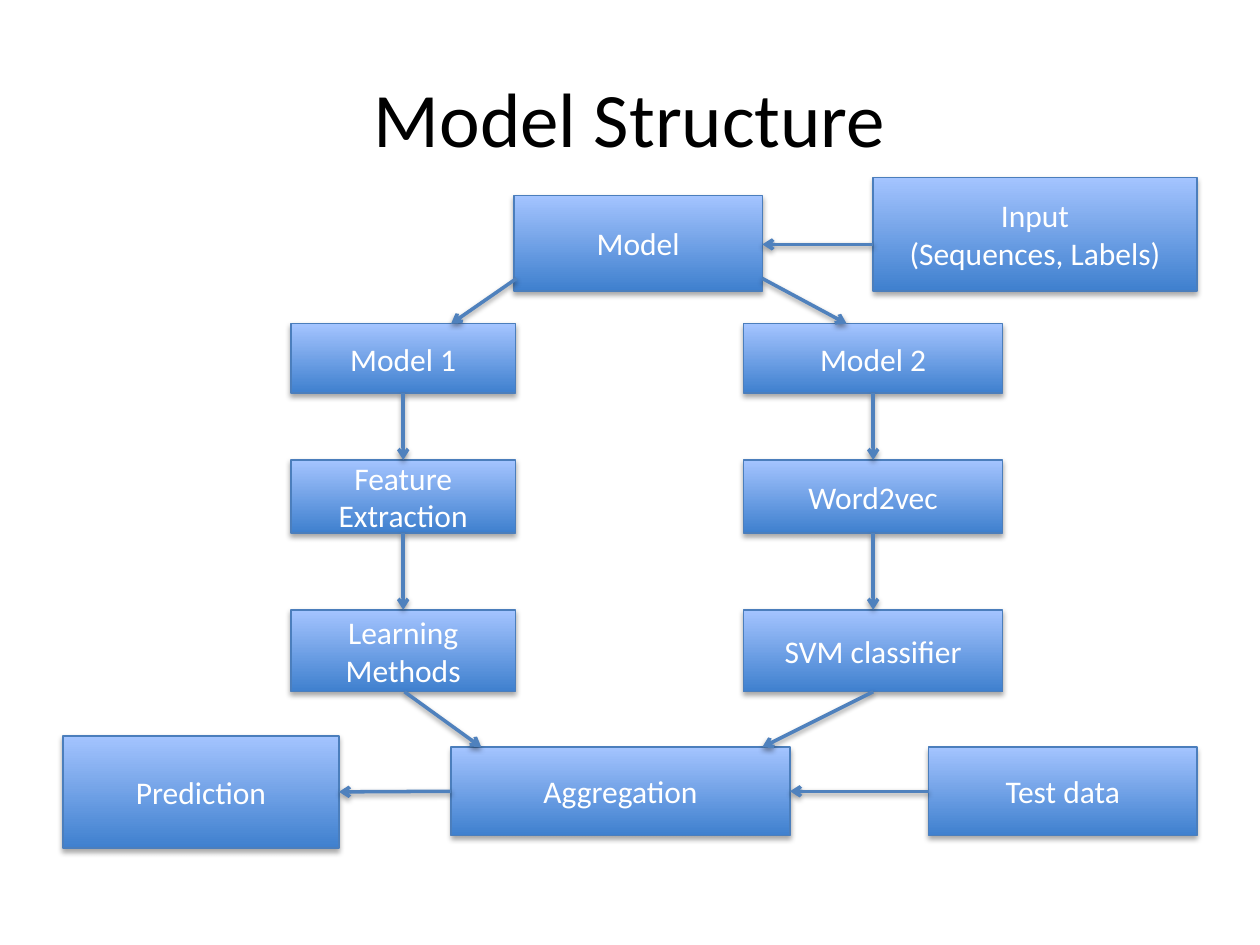
from lxml.etree import SubElement
from pptx import Presentation
from pptx.dml.color import RGBColor
from pptx.enum.shapes import MSO_CONNECTOR as Connector, MSO_SHAPE as Shape
from pptx.enum.text import MSO_ANCHOR as Anchor, PP_ALIGN as Align
from pptx.oxml.ns import qn
from pptx.util import Inches, Pt

COLORS = {
    "title": "000000",
    "label": "FFFFFF",
    "bottom": "3F80CE",
    "top": "A4C4FF",
    "border": "4B7EBC",
    "arrow": "4F81BD",
    "shadow": "000000",
}
TOP, LEFT, BOTTOM, RIGHT = range(4)


class Diagram:
    font = "Calibri"

    def __init__(self, slide):
        self.slide = slide

    def color(self, name):
        return RGBColor.from_string(COLORS[name])

    def add_lines(self, frame, lines, size, color):
        frame.word_wrap = True
        frame.vertical_anchor = Anchor.MIDDLE
        for index, line in enumerate(lines):
            paragraph = frame.add_paragraph() if index else frame.paragraphs[0]
            paragraph.alignment = Align.CENTER
            run = paragraph.add_run()
            run.text = line
            run.font.name = self.font
            run.font.size = Pt(size)
            run.font.color.rgb = self.color(color)

    def shade(self, part, opacity, distance):
        properties = part._element.spPr
        effects = properties.find(qn("a:effectLst"))
        if effects is None:
            effects = SubElement(properties, qn("a:effectLst"))
        shadow = SubElement(
            effects, qn("a:outerShdw"), blurRad=str(Pt(3.1)),
            dist=str(Pt(distance)), dir="5400000", rotWithShape="0")
        tone = SubElement(shadow, qn("a:srgbClr"), val=COLORS["shadow"])
        SubElement(tone, qn("a:alpha"), val=str(opacity * 1000))

    def title(self, text, *place):
        heading = self.slide.shapes.add_textbox(*map(Inches, place))
        self.add_lines(heading.text_frame, [text], 44, "title")

    def box(self, lines, *place):
        step = self.slide.shapes.add_shape(Shape.RECTANGLE, *map(Inches, place))
        step.fill.gradient()
        step.fill.gradient_angle = 90
        for stop, name, position in zip(step.fill.gradient_stops, ("bottom", "top"), (0, 1)):
            stop.color.rgb = self.color(name)
            stop.position = position
        step.line.color.rgb = self.color("border")
        step.line.width = Pt(0.75)
        step.shadow.inherit = False
        self.shade(step, 35, 1.8)
        self.add_lines(step.text_frame, lines, 18, "label")
        return step

    def arrow(self, *ends):
        flow = self.slide.shapes.add_connector(Connector.STRAIGHT, *map(Inches, ends))
        flow.line.color.rgb = self.color("arrow")
        flow.line.width = Pt(2)
        SubElement(flow.line._get_or_add_ln(), qn("a:tailEnd"), type="arrow")
        self.shade(flow, 38, 1.6)
        return flow

    def link(self, source, source_side, target, target_side):
        flow = self.arrow(0, 0, 0, 0)
        flow.begin_connect(source, source_side)
        flow.end_connect(target, target_side)


def main():
    presentation = Presentation()
    presentation.slide_width = Inches(10)
    presentation.slide_height = Inches(7.5)
    diagram = Diagram(presentation.slides.add_slide(presentation.slide_layouts[6]))

    diagram.title("Model Structure", 0.5, 0.3, 9, 1.25)
    diagram.box(["Model"], 4.08, 1.55, 1.97, 0.76)
    diagram.box(["Input", "(Sequences, Labels)"], 6.93, 1.41, 2.57, 0.9)

    rows = [(2.57, 0.55), (3.65, 0.58), (4.84, 0.65)]
    branches = [
        (2.31, 1.78, ["Model 1", "Feature Extraction", "Learning Methods"]),
        (5.9, 2.06, ["Model 2", "Word2vec", "SVM classifier"]),
    ]
    for left, width, labels in branches:
        steps = [diagram.box([label], left, top, width, height)
                 for label, (top, height) in zip(labels, rows)]
        for upper, lower in zip(steps, steps[1:]):
            diagram.link(upper, BOTTOM, lower, TOP)

    aggregation = diagram.box(["Aggregation"], 3.58, 5.93, 2.69, 0.7)
    test_data = diagram.box(["Test data"], 7.37, 5.93, 2.13, 0.7)
    prediction = diagram.box(["Prediction"], 0.5, 5.84, 2.19, 0.89)
    diagram.link(test_data, LEFT, aggregation, RIGHT)
    diagram.link(aggregation, LEFT, prediction, RIGHT)

    for ends in [
        (6.93, 1.94, 6.05, 1.94),
        (4.1, 2.21, 3.58, 2.57),
        (6.05, 2.21, 6.72, 2.57),
        (3.21, 5.49, 3.82, 5.93),
        (6.93, 5.49, 6.05, 5.93),
    ]:
        diagram.arrow(*ends)

    presentation.save("out.pptx")


if __name__ == "__main__":
    main()
